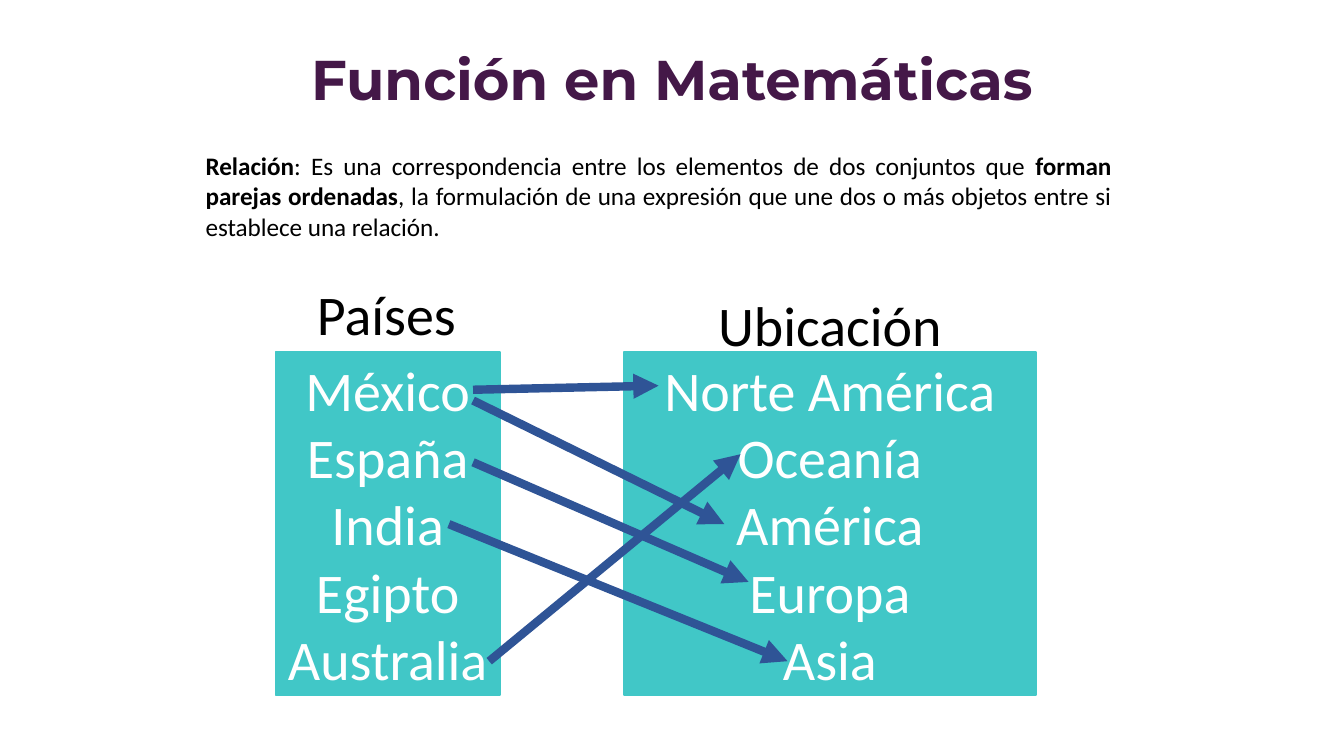
"""Build a slide that shows a relation between countries and places."""
from lxml import etree
from pptx import Presentation
from pptx.dml.color import RGBColor
from pptx.enum import shapes, text
from pptx.oxml import ns
from pptx.util import Inches, Pt


def color(value):
    return RGBColor.from_string(value)


class RelationSlide:
    font = "Calibri"
    title_font = "Montserrat"
    purple, teal, blue = "441848", "41C7C7", "2F5496"
    black, white = "000000", "FFFFFF"
    large, small = 30, 13.5

    def __init__(self, deck):
        self.page = deck.slides.add_slide(deck.slide_layouts[5])

    def frame(self, box, anchor, side, edge):
        frame = box.text_frame
        frame.word_wrap = True
        frame.auto_size = text.MSO_AUTO_SIZE.NONE
        frame.vertical_anchor = anchor
        frame.margin_left = frame.margin_right = Inches(side)
        frame.margin_top = frame.margin_bottom = Inches(edge)
        return frame

    def style(self, para, fill, size=large, name=font, align=text.PP_ALIGN.CENTER):
        para.alignment = align
        para.font.name = name
        para.font.size = Pt(size)
        para.font.color.rgb = color(fill)

    def title(self, words, *place):
        box = self.page.shapes.title
        box.left, box.top, box.width, box.height = map(Inches, place)
        frame = self.frame(box, text.MSO_ANCHOR.TOP, 0.1, 0.1)
        frame.text = words
        para = frame.paragraphs[0]
        self.style(para, self.purple, name=self.title_font)
        para.font.bold = True

    def textbox(self, place):
        box = self.page.shapes.add_textbox(*map(Inches, place))
        return self.frame(box, text.MSO_ANCHOR.TOP, 0.07, 0.04).paragraphs[0]

    def definition(self, spans, *place):
        para = self.textbox(place)
        for words, bold in spans:
            span = para.add_run()
            span.text = words
            span.font.bold = bold
        self.style(para, self.black, self.small, align=text.PP_ALIGN.JUSTIFY)

    def heading(self, words, *place):
        para = self.textbox(place)
        para.text = words
        self.style(para, self.black)

    def collection(self, members, *place):
        box = self.page.shapes.add_shape(
            shapes.MSO_SHAPE.RECTANGLE, *map(Inches, place))
        box.shadow.inherit = False
        box.fill.solid()
        box.fill.fore_color.rgb = color(self.teal)
        box.line.color.rgb = color(self.teal)
        box.line.width = Pt(1)
        frame = self.frame(box, text.MSO_ANCHOR.MIDDLE, 0.07, 0.04)
        frame.text = "\n".join(members)
        for para in frame.paragraphs:
            self.style(para, self.white)

    def arrow(self, *ends):
        arrow = self.page.shapes.add_connector(
            shapes.MSO_CONNECTOR.STRAIGHT, *map(Inches, ends))
        arrow.line.color.rgb = color(self.blue)
        arrow.line.width = Pt(4.5)
        line = arrow.line._get_or_add_ln()
        etree.SubElement(line, ns.qn("a:tailEnd"), type="triangle")
        etree.SubElement(arrow._element.spPr, ns.qn("a:effectLst"))


def main():
    deck = Presentation()
    deck.slide_width, deck.slide_height = Inches(10), Inches(10 * 9 / 16)
    slide = RelationSlide(deck)
    slide.title("Función en Matemáticas", 0.55, 0.23, 8.9, 0.85)
    slide.definition([
        ("Relación", True),
        (": Es una correspondencia entre los elementos de dos conjuntos que ", False),
        ("forman parejas ordenadas", True),
        (", la formulación de una expresión que une dos o más objetos entre si "
         "establece una relación.", False),
    ], 1.46, 1.08, 6.88, 0.76)

    countries = ["México", "España", "India", "Egipto", "Australia"]
    places = ["Norte América", "Oceanía", "América", "Europa", "Asia"]
    for name, members, left, width, heading_left, heading_top in [
        ("Países", countries, 2.05, 1.67, 2.04, 2.04),
        ("Ubicación", places, 4.64, 3.07, 4.64, 2.12),
    ]:
        slide.collection(members, left, 2.62, width, 2.55)
        slide.heading(name, heading_left, heading_top, width, 0.58)

    for ends in [
        (3.52, 2.98, 5.39, 3.9),
        (3.52, 3.44, 5.57, 4.33),
        (3.34, 3.9, 5.86, 4.92),
        (3.64, 4.92, 5.51, 3.38),
        (3.52, 2.9, 4.9, 2.87),
    ]:
        slide.arrow(*ends)
    deck.save("out.pptx")


if __name__ == "__main__":
    main()
